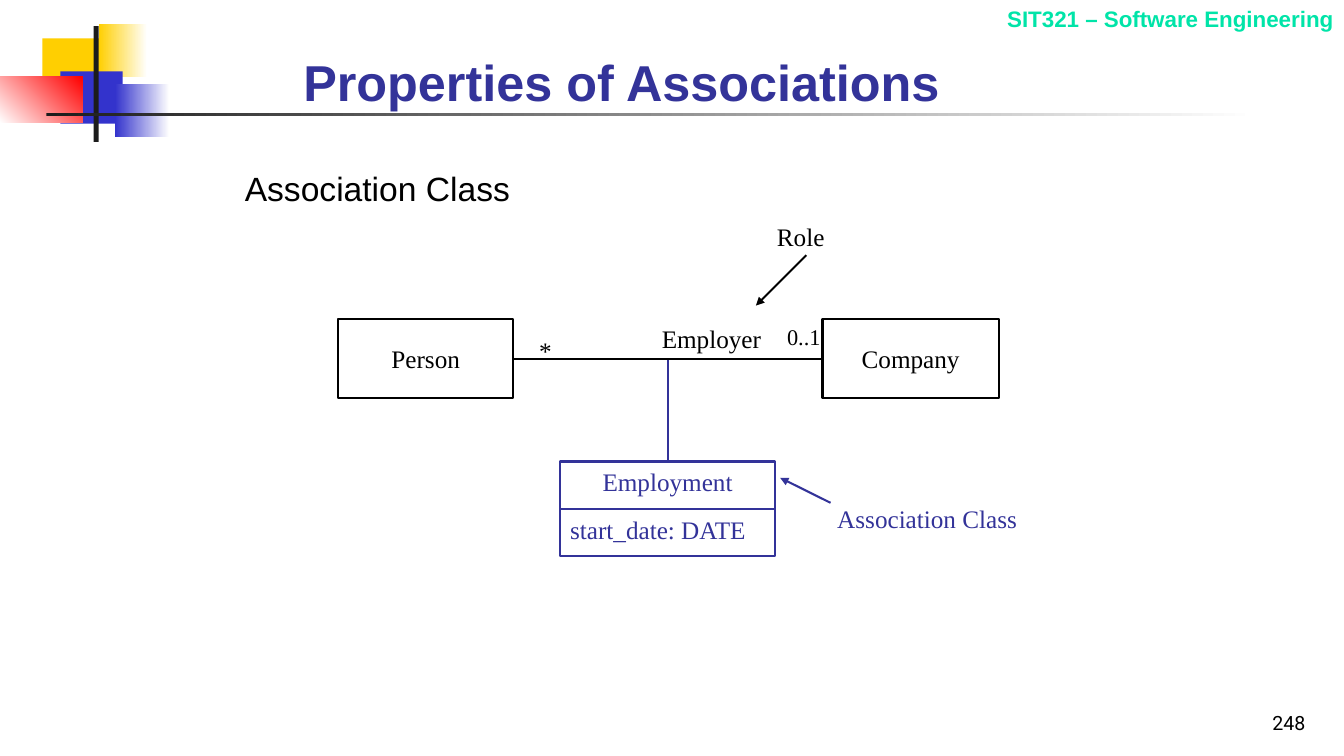
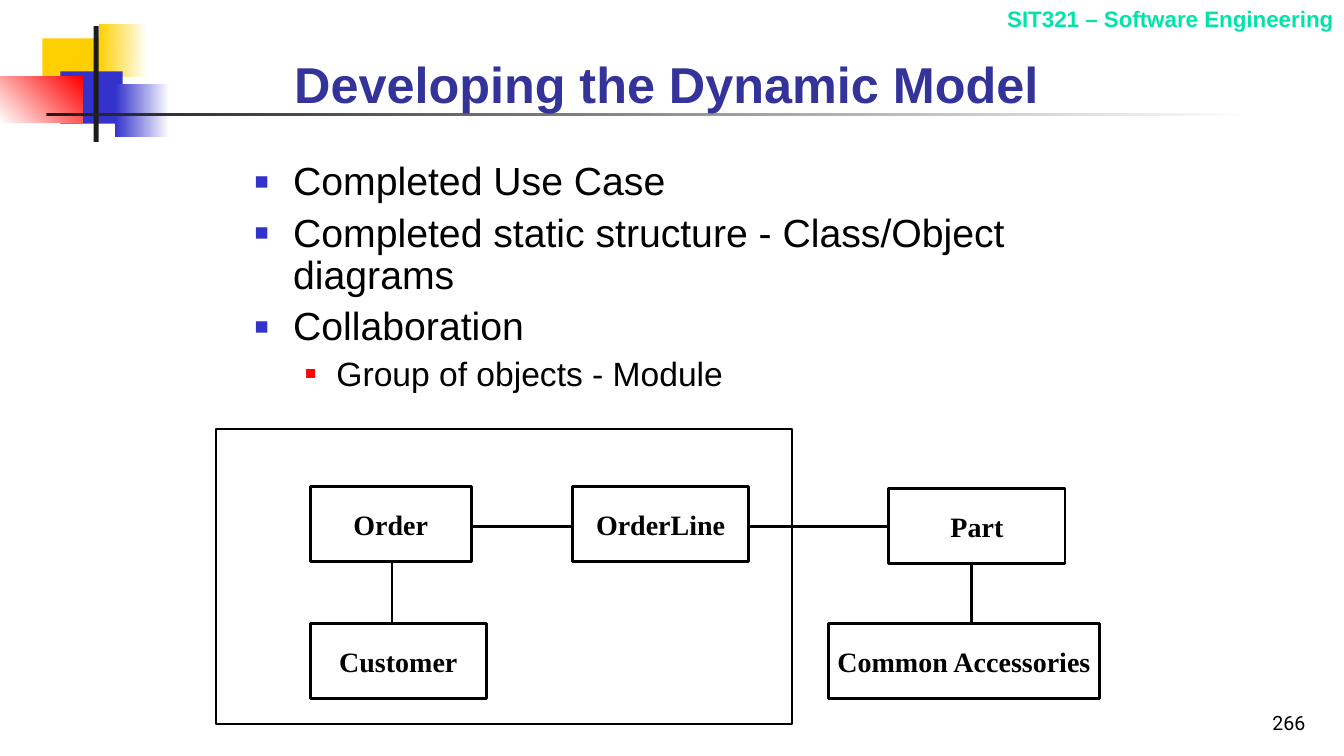
import pptx
import pptx.dml.color
import pptx.enum.dml
import pptx.enum.shapes
import pptx.enum.text
import pptx.oxml.ns
import pptx.util
from lxml import etree

Cm = pptx.util.Cm
Pt = pptx.util.Pt
RGBColor = pptx.dml.color.RGBColor
ALIGN = pptx.enum.text.PP_ALIGN
ANCHOR = pptx.enum.text.MSO_ANCHOR
RECTANGLE = pptx.enum.shapes.MSO_SHAPE.RECTANGLE
qn = pptx.oxml.ns.qn

BLACK = RGBColor(0x00, 0x00, 0x00)
WHITE = RGBColor(0xFF, 0xFF, 0xFF)
CHARCOAL = RGBColor(0x1C, 0x1C, 0x1C)
YELLOW = RGBColor(0xFF, 0xCF, 0x01)
BLUE = RGBColor(0x33, 0x33, 0xCC)
RED = RGBColor(0xFF, 0x00, 0x00)
INDIGO = RGBColor(0x33, 0x33, 0x99)
MINT = RGBColor(0x00, 0xE4, 0xA8)

SANS = "Arial"
SERIF = "Times New Roman"
NUMBER_FONT = "Roboto"

DECORATION = [
    (1.07, 0.97, 1.63, 1.32, [YELLOW], 0),
    (2.49, 0.61, 1.22, 1.32, [YELLOW, WHITE], 0),
    (1.52, 1.8, 1.57, 1.32, [BLUE], 0),
    (2.9, 2.13, 1.37, 1.32, [BLUE, WHITE], 0),
    (0, 1.93, 2.08, 1.17, [WHITE, RED], 45),
    (2.36, 0.66, 0.13, 2.92, [CHARCOAL], 0),
    (1.17, 2.84, 30.48, 0.08, [CHARCOAL, WHITE], 0),
]

BULLET_STYLES = [
    {"size": 28, "color": BLUE, "percent": 60, "margin": 0.97, "hanging": 0.97, "before": 6.4},
    {"size": 24, "color": RED, "percent": 55, "margin": 2.06, "hanging": 0.79, "before": 5.5},
]


def format_paragraph(paragraph, size, font, color, bold=False, align=ALIGN.LEFT):
    paragraph.alignment = align
    for run in paragraph.runs:
        run.font.size = Pt(size)
        run.font.name = font
        run.font.color.rgb = color
        run.font.bold = bold


def add_text(slide, place, text, size=18, font=SERIF, color=BLACK, bold=False,
             align=ALIGN.LEFT, anchor=ANCHOR.TOP):
    text_frame = slide.shapes.add_textbox(*map(Cm, place)).text_frame
    text_frame.word_wrap = True
    text_frame.vertical_anchor = anchor
    text_frame.text = text
    format_paragraph(text_frame.paragraphs[0], size, font, color, bold, align)


def add_rectangle(slide, place):
    shape = slide.shapes.add_shape(RECTANGLE, *map(Cm, place))
    shape.shadow.inherit = False
    return shape


def add_color_block(slide, place, colors, angle):
    shape = add_rectangle(slide, place)
    shape.line.fill.background()
    if len(colors) == 1:
        shape.fill.solid()
        shape.fill.fore_color.rgb = colors[0]
        return
    shape.fill.gradient()
    shape.fill.gradient_angle = angle
    for stop, color in zip(shape.fill.gradient_stops, colors):
        stop.color.rgb = color


def add_box(slide, place, text="", color=BLACK, width=1.5, size=18, bold=False, fill=None):
    shape = add_rectangle(slide, place)
    shape.line.color.rgb = color
    shape.line.width = Pt(width)
    if fill is None:
        shape.fill.background()
    else:
        shape.fill.solid()
        shape.fill.fore_color.rgb = fill
    if text:
        text_frame = shape.text_frame
        text_frame.word_wrap = False
        text_frame.vertical_anchor = ANCHOR.MIDDLE
        text_frame.text = text
        format_paragraph(text_frame.paragraphs[0], size, SERIF, color, bold, ALIGN.CENTER)


def add_line(slide, start, end, color=BLACK, width=1.5, arrow=False):
    connector = slide.shapes.add_connector(
        pptx.enum.shapes.MSO_CONNECTOR.STRAIGHT, *map(Cm, start + end))
    connector.line.color.rgb = color
    connector.line.width = Pt(width)
    if arrow:
        etree.SubElement(connector.get_or_add_ln(), qn("a:tailEnd"), type="triangle")
    etree.SubElement(connector.element.spPr, qn("a:effectLst"))


def set_bullet(paragraph, style):
    properties = paragraph._p.get_or_add_pPr()
    properties.set("marL", str(Cm(style["margin"])))
    properties.set("indent", str(-Cm(style["hanging"])))
    bullet_color = etree.SubElement(properties, qn("a:buClr"))
    etree.SubElement(bullet_color, qn("a:srgbClr"), val=str(style["color"]))
    etree.SubElement(properties, qn("a:buSzPct"), val=str(style["percent"] * 1000))
    etree.SubElement(properties, qn("a:buFont"), typeface=SANS)
    etree.SubElement(properties, qn("a:buChar"), char="■")


def add_bullets(slide, place, items):
    text_frame = slide.shapes.add_textbox(*map(Cm, place)).text_frame
    text_frame.word_wrap = True
    for index, (level, text) in enumerate(items):
        paragraph = text_frame.add_paragraph() if index else text_frame.paragraphs[0]
        style = BULLET_STYLES[level]
        paragraph.text = text
        paragraph.level = level
        set_bullet(paragraph, style)
        paragraph.line_spacing = 0.9
        if index:
            paragraph.space_before = Pt(style["before"])
        format_paragraph(paragraph, style["size"], SANS, BLACK)


def place_title(slide, place, text):
    title = slide.shapes.title
    title.left, title.top, title.width, title.height = map(Cm, place)
    text_frame = title.text_frame
    text_frame.text = text
    text_frame.word_wrap = True
    text_frame.auto_size = pptx.enum.text.MSO_AUTO_SIZE.NONE
    text_frame.vertical_anchor = ANCHOR.BOTTOM
    format_paragraph(text_frame.paragraphs[0], 36, SANS, INDIGO, bold=True)
    title.element.getparent().append(title.element)


def start_slide(presentation, title, title_place, number):
    slide = presentation.slides.add_slide(presentation.slide_layouts[5])
    for *place, colors, angle in DECORATION:
        add_color_block(slide, place, colors, angle)
    add_text(slide, (20.4, 0, 13.46, 0.94), "SIT321 – Software Engineering", 16, SANS, MINT,
             bold=True, align=ALIGN.RIGHT)
    add_text(slide, (26.09, 17.35, 7.06, 1.27), number, 14, NUMBER_FONT,
             align=ALIGN.RIGHT, anchor=ANCHOR.BOTTOM)
    place_title(slide, title_place, title)
    return slide


def build_associations(presentation):
    slide = start_slide(presentation, "Properties of Associations",
                        (7.39, 0.66, 17.91, 2.29), "248")
    add_text(slide, (5.92, 4.11, 8.61, 1.17), "Association Class", 24, SANS)

    add_box(slide, (14.12, 11.63, 5.41, 2.39), color=INDIGO)
    add_text(slide, (14.12, 11.63, 5.41, 1.02), "Employment", color=INDIGO, align=ALIGN.CENTER)
    add_line(slide, (14.12, 12.83), (19.53, 12.83), INDIGO)
    add_text(slide, (14.12, 12.83, 5.41, 1.02), "start_date: DATE", color=INDIGO)
    add_line(slide, (16.84, 9.04), (16.84, 11.63), INDIGO)
    add_line(slide, (20.93, 12.67), (19.66, 12.04), INDIGO, arrow=True)
    add_text(slide, (20.85, 12.55, 5.08, 1.02), "Association Class", color=INDIGO)

    add_box(slide, (8.53, 8.03, 4.4, 2), "Person")
    add_box(slide, (20.73, 8.03, 4.44, 2), "Company")
    add_line(slide, (12.93, 9.04), (20.73, 9.04))
    add_text(slide, (19.33, 5.44, 2.06, 1.02), "Role")
    add_line(slide, (20.32, 6.43), (19.05, 7.7), arrow=True)
    add_text(slide, (16.33, 8.03, 3.2, 1.02), "Employer", align=ALIGN.CENTER)
    add_text(slide, (13.34, 8.33, 2.54, 1.02), "*")
    add_text(slide, (19.53, 8.03, 1.4, 0.94), "0..1", 16, align=ALIGN.RIGHT)


def build_dynamic_model(presentation):
    slide = start_slide(presentation, "Developing the Dynamic Model",
                        (7.16, 1.37, 20.55, 1.63), "266")
    add_bullets(slide, (6.17, 3.96, 21.56, 6.22), [
        (0, "Completed Use Case"),
        (0, "Completed static structure - Class/Object diagrams"),
        (0, "Collaboration"),
        (1, "Group of objects - Module"),
    ])
    for name, left, top, width in [
        ("Order", 7.82, 12.27, 4.06),
        ("OrderLine", 14.43, 12.27, 4.44),
        ("Customer", 7.82, 15.72, 4.44),
        ("Part", 22.4, 12.32, 4.44),
        ("Common Accessories", 20.88, 15.72, 6.83),
    ]:
        add_box(slide, (left, top, width, 1.88), name, width=2, size=20, bold=True, fill=WHITE)
    for start, end in [
        ((11.88, 13.26), (14.43, 13.26)),
        ((18.87, 13.26), (22.4, 13.26)),
        ((9.88, 14.15), (9.88, 15.72)),
        ((24.49, 14.15), (24.49, 15.72)),
    ]:
        add_line(slide, start, end, width=2)
    add_box(slide, (5.44, 10.82, 14.53, 7.42))


def main():
    presentation = pptx.Presentation()
    presentation.slide_width = Cm(33.87)
    presentation.slide_height = Cm(19.05)
    build_associations(presentation)
    build_dynamic_model(presentation)
    presentation.save("out.pptx")


if __name__ == "__main__":
    main()
